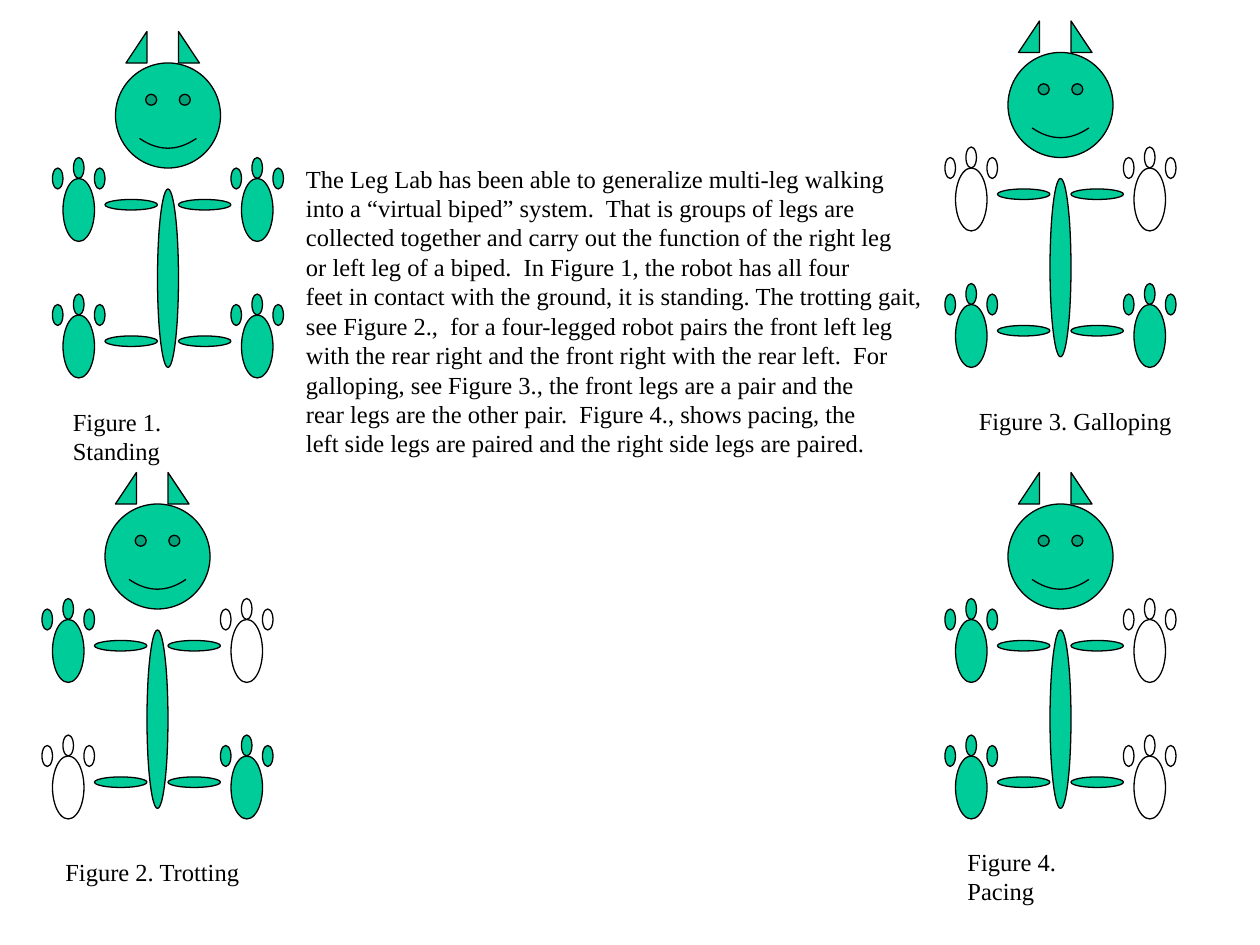
import pptx
import pptx.dml.color
import pptx.enum.shapes
import pptx.enum.text
import pptx.util

SHAPES = pptx.enum.shapes.MSO_SHAPE
COLORS = {"down": "00CC99", "up": "FFFFFF", "ink": "000000"}
CELLS_PER_INCH = 12
TEXT_FORMAT = {"name": "Times New Roman", "size": pptx.util.Pt(14)}

# Caption, grid column and row of the robot, caption box in inches,
# and the state of the front left, front right, rear left and rear right foot.
ROBOTS = [
    ("Figure 1. Standing", 5, 3, (0.48, 3.18, 1.64, 0.34), ("down", "down", "down", "down")),
    ("Figure 3. Galloping", 90, 2, (7.67, 3.17, 1.73, 0.34), ("up", "up", "down", "down")),
    ("Figure 2. Trotting", 4, 45, (0.42, 6.75, 1.59, 0.34), ("down", "up", "up", "down")),
    ("Figure 4. Pacing", 90, 45, (7.58, 6.67, 1.48, 0.34), ("down", "up", "down", "up")),
]

EXPLANATION = [
    "The Leg Lab has been able to generalize multi-leg walking",
    "into a “virtual biped” system.  That is groups of legs are",
    "collected together and carry out the function of the right leg",
    "or left leg of a biped.  In Figure 1, the robot has all four",
    "feet in contact with the ground, it is standing. The trotting gait,",
    "see Figure 2.,  for a four-legged robot pairs the front left leg",
    "with the rear right and the front right with the rear left.  For",
    "galloping, see Figure 3., the front legs are a pair and the",
    "rear legs are the other pair.  Figure 4., shows pacing, the",
    "left side legs are paired and the right side legs are paired.",
]


def rgb(name):
    return pptx.dml.color.RGBColor.from_string(COLORS[name])


def add_part(slide, kind, column, row, columns, rows, color="down"):
    """Add one outlined shape, placed and sized in grid cells."""
    box = [pptx.util.Inches(cells / CELLS_PER_INCH) for cells in (column, row, columns, rows)]
    shape = slide.shapes.add_shape(kind, *box)
    shape.shadow.inherit = False
    shape.fill.solid()
    shape.fill.fore_color.rgb = rgb(color)
    shape.line.color.rgb = rgb("ink")
    shape.line.width = pptx.util.Pt(0.75)
    return shape


def add_head(slide, column, row):
    face = add_part(slide, SHAPES.SMILEY_FACE, column + 6, row + 3, 10, 10)
    face.adjustments[0] = 0.093
    add_part(slide, SHAPES.RIGHT_TRIANGLE, column + 12, row, 2, 3)
    left_ear = add_part(slide, SHAPES.RIGHT_TRIANGLE, column + 7, row, 2, 3)
    left_ear._element.spPr.xfrm.set("flipH", "1")


def add_paw(slide, column, row, state):
    add_part(slide, SHAPES.OVAL, column + 1, row + 2, 3, 6, state)
    for toe_column, toe_row in ((0, 1), (4, 1), (2, 0)):
        add_part(slide, SHAPES.OVAL, column + toe_column, row + toe_row, 1, 2, state)


def add_robot(slide, column, row, feet):
    add_head(slide, column, row)
    for index, state in enumerate(feet):
        rear, right = divmod(index, 2)
        leg_row = row + 12 + 13 * rear
        add_paw(slide, column + 17 * right, leg_row, state)
        add_part(slide, SHAPES.OVAL, column + 5 + 7 * right, leg_row + 4, 5, 1)
    add_part(slide, SHAPES.OVAL, column + 10, row + 15, 2, 17)


def add_text(slide, lines, box):
    shape = slide.shapes.add_textbox(*map(pptx.util.Inches, box))
    frame = shape.text_frame
    frame.word_wrap = False
    frame.auto_size = pptx.enum.text.MSO_AUTO_SIZE.SHAPE_TO_FIT_TEXT
    frame.text = "\n".join(lines)
    for paragraph in frame.paragraphs:
        paragraph.alignment = pptx.enum.text.PP_ALIGN.LEFT
        for run in paragraph.runs:
            for attribute, value in TEXT_FORMAT.items():
                setattr(run.font, attribute, value)
            run.font.color.rgb = rgb("ink")


def main():
    presentation = pptx.Presentation()
    presentation.slide_width = pptx.util.Inches(10)
    presentation.slide_height = pptx.util.Inches(7.5)
    slide = presentation.slides.add_slide(presentation.slide_layouts[6])
    for caption, column, row, caption_box, feet in ROBOTS:
        add_robot(slide, column, row, feet)
        add_text(slide, [caption], caption_box)
    add_text(slide, EXPLANATION, (2.33, 1.25, 5.09, 2.44))
    presentation.save("out.pptx")


if __name__ == "__main__":
    main()
